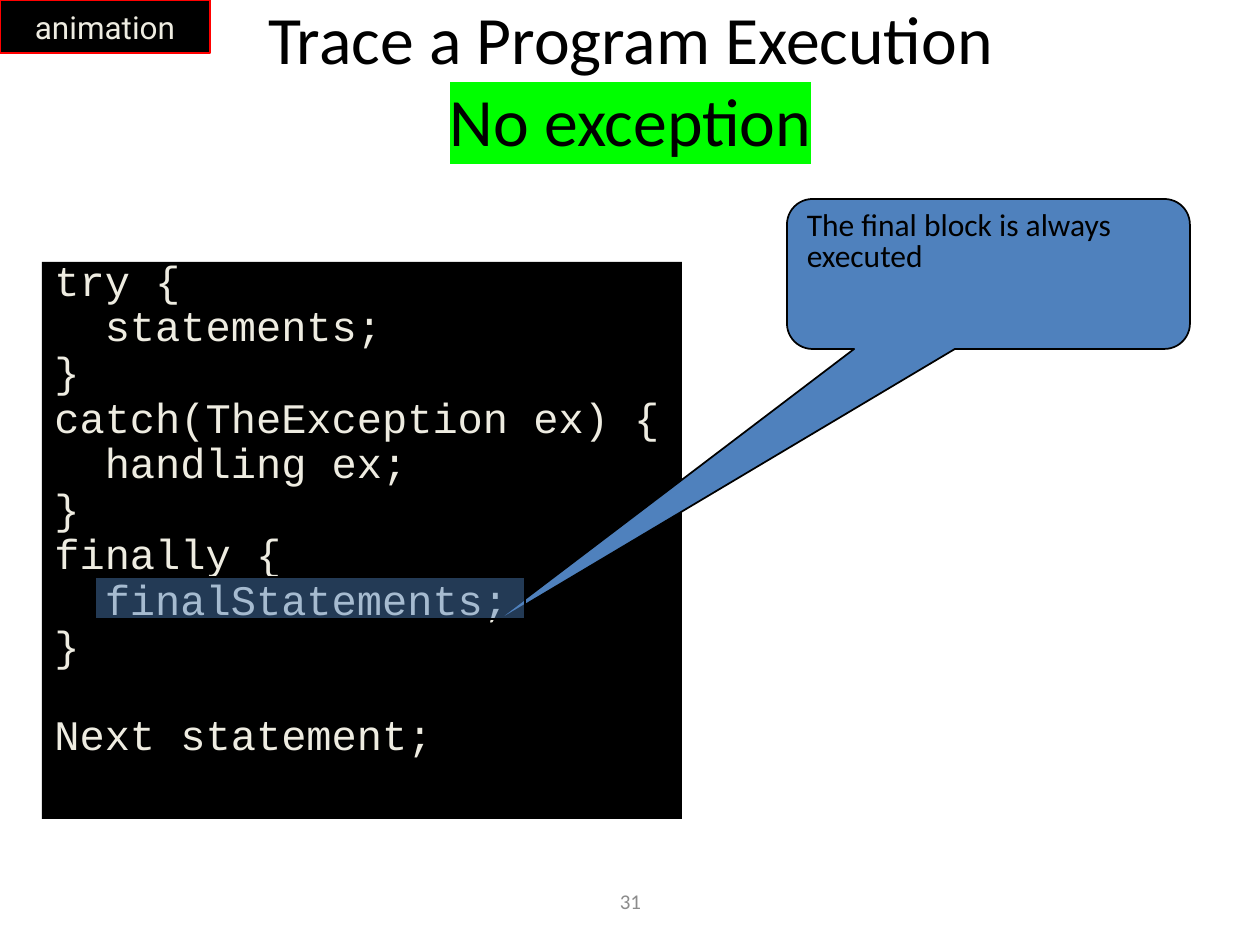
from lxml import etree
from pptx import Presentation
from pptx import util as u
from pptx.dml.color import RGBColor
from pptx.enum import shapes, text
from pptx.oxml.ns import qn

PX = 914400 / 126
COLORS = {
    "black": "000000", "cream": "EEECE1", "blue": "4F81BD",
    "red": "FF0000", "green": "00FF00", "gray": "8C8C8C",
}
CODE = """try {
  statements;
}
catch(TheException ex) {
  handling ex;
}
finally {
  finalStatements;
}

Next statement;"""
CODE_GAP = 5.9
CODE_PITCH = 25


def px(n):
    return u.Emu(round(n * PX))


def rgb(name):
    return RGBColor.from_string(COLORS[name])


def format_runs(p, size, font, color):
    for r in p.runs:
        r.font.size = u.Pt(size)
        r.font.name = font
        r.font.color.rgb = rgb(color)


def highlight(r, color):
    """Put a marker colour behind a run that already has its fill."""
    mark = etree.Element(qn("a:highlight"))
    etree.SubElement(mark, qn("a:srgbClr"), val=COLORS[color])
    r.font._element.find(qn("a:solidFill")).addnext(mark)


def add_label(slide, box, content, size, color):
    """Add a centred line of text without a frame."""
    tf = slide.shapes.add_textbox(*map(px, box)).text_frame
    tf.word_wrap = True
    tf.vertical_anchor = text.MSO_ANCHOR.MIDDLE
    p = tf.paragraphs[0]
    p.text = content
    p.alignment = text.PP_ALIGN.CENTER
    format_runs(p, size, "Calibri", color)
    return p


def add_box(slide, kind, box, fill, line=None):
    sp = slide.shapes.add_shape(kind, *map(px, box))
    sp.shadow.inherit = False
    sp.fill.solid()
    sp.fill.fore_color.rgb = rgb(fill)
    if line:
        sp.line.color.rgb = rgb(line)
        sp.line.width = u.Pt(1)
    else:
        sp.line.fill.background()
    return sp


def set_alpha(sp, percent):
    color = sp.fill._xPr.find(qn("a:solidFill"))[0]
    etree.SubElement(color, qn("a:alpha"), val=str(percent * 1000))


def add_tag(slide, box, content):
    sp = add_box(slide, shapes.MSO_SHAPE.RECTANGLE, box, "black", "red")
    tf = sp.text_frame
    tf.text = content
    tf.word_wrap = False
    tf.vertical_anchor = text.MSO_ANCHOR.MIDDLE
    p = tf.paragraphs[0]
    p.alignment = text.PP_ALIGN.CENTER
    format_runs(p, 18, "Roboto", "cream")


def add_code(slide, box, code):
    """Add a code panel; an empty line becomes extra space before the next."""
    sp = add_box(slide, shapes.MSO_SHAPE.RECTANGLE, box, "black")
    tf = sp.text_frame
    tf.word_wrap = True
    tf.vertical_anchor = text.MSO_ANCHOR.TOP
    gap = 0
    for i, line in enumerate(code.split("\n")):
        if not line:
            gap += CODE_PITCH
            continue
        p = tf.add_paragraph() if i else tf.paragraphs[0]
        p.text = line
        p.alignment = text.PP_ALIGN.LEFT
        p.line_spacing = 0.7
        p.space_before = u.Pt(gap)
        format_runs(p, 24, "Courier New", "cream")
        gap = CODE_GAP


def add_callout(slide, box, content, adjustments):
    kind = shapes.MSO_SHAPE.ROUNDED_RECTANGULAR_CALLOUT
    sp = add_box(slide, kind, box, "blue", "black")
    for i, value in enumerate(adjustments):
        sp.adjustments[i] = value
    tf = sp.text_frame
    tf.text = content
    tf.word_wrap = True
    tf.vertical_anchor = text.MSO_ANCHOR.TOP
    p = tf.paragraphs[0]
    p.alignment = text.PP_ALIGN.LEFT
    p.line_spacing = 0.8
    format_runs(p, 18, "Calibri", "black")


def main():
    prs = Presentation()
    prs.slide_width, prs.slide_height = px(1260), px(945)
    slide = prs.slides.add_slide(prs.slide_layouts[6])

    add_label(slide, (431, 876, 399, 50), "31", 12, "gray")
    title = add_label(slide, (95, 42, 1071, 73),
                      "Trace a Program Execution\vNo exception", 38.7, "black")
    highlight(title.runs[-1], "green")
    add_tag(slide, (0, 0, 210, 53), "animation")
    add_code(slide, (42, 262, 640, 557), CODE)
    add_callout(slide, (787, 199, 403, 150),
                "The final block is always executed", (-1.24, 2.35, 0.17))
    marker = add_box(slide, shapes.MSO_SHAPE.RECTANGLE,
                     (95, 577, 430, 42), "blue", "black")
    set_alpha(marker, 45)

    prs.save("out.pptx")


if __name__ == "__main__":
    main()
